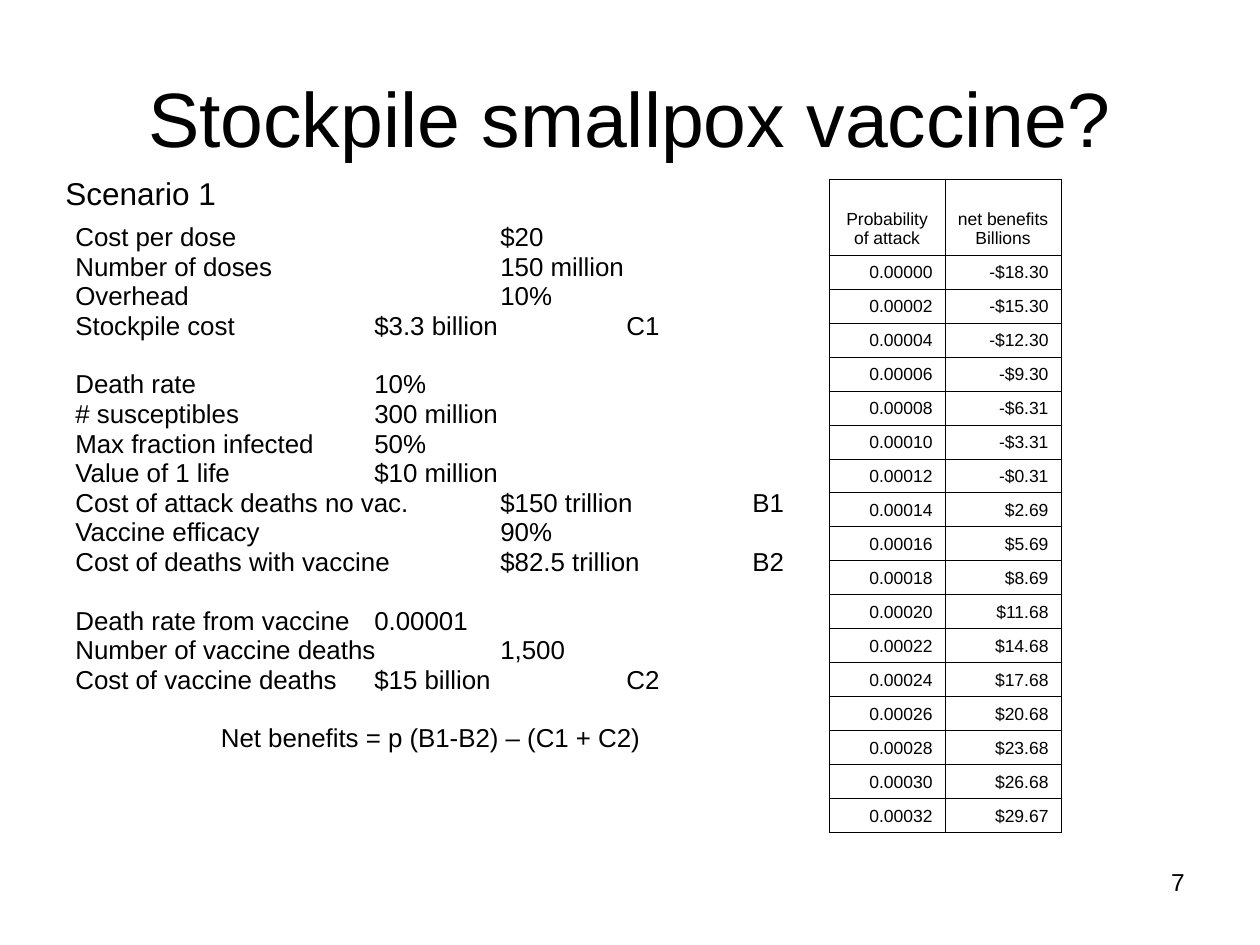
from lxml.etree import SubElement
from pptx import Presentation
from pptx.dml.color import RGBColor
from pptx.enum.text import MSO_ANCHOR as Anchor, PP_ALIGN as Align
from pptx.oxml.ns import qn
from pptx.util import Pt

PX = 914400 / 126
FONT = "Arial"
COLORS = {"text": "000000", "border": "000000"}

NEAR, FAR = 299, 425  # tab stops of the two value columns
CODE_OFFSET = 252  # from a value to its symbol in the formula
ASSUMPTION_GROUPS = [
    [
        ("Cost per dose", FAR, "$20"),
        ("Number of doses", FAR, "150 million"),
        ("Overhead", FAR, "10%"),
        ("Stockpile cost", NEAR, "$3.3 billion", "C1"),
    ],
    [
        ("Death rate", NEAR, "10%"),
        ("# susceptibles", NEAR, "300 million"),
        ("Max fraction infected", NEAR, "50%"),
        ("Value of 1 life", NEAR, "$10 million"),
        ("Cost of attack deaths no vac.", FAR, "$150 trillion", "B1"),
        ("Vaccine efficacy", FAR, "90%"),
        ("Cost of deaths with vaccine", FAR, "$82.5 trillion", "B2"),
    ],
    [
        ("Death rate from vaccine", NEAR, "0.00001"),
        ("Number of vaccine deaths", FAR, "1,500"),
        ("Cost of vaccine deaths", NEAR, "$15 billion", "C2"),
    ],
]
FORMULA = "Net benefits = p (B1-B2) – (C1 + C2)"
LINE_SPACING = 0.73
LINE_GAP, GROUP_GAP = 4, 20.4

TABLE_HEADER = ("Probability of attack", "net benefits Billions")
PROBABILITY_STEP = 0.00002
NET_BENEFITS = [
    "-$18.30", "-$15.30", "-$12.30", "-$9.30", "-$6.31", "-$3.31",
    "-$0.31", "$2.69", "$5.69", "$8.69", "$11.68", "$14.68",
    "$17.68", "$20.68", "$23.68", "$26.68", "$29.67",
]
COLUMN_WIDTH, HEADER_HEIGHT, ROW_HEIGHT = 116, 76, 34


def emu(px):
    return round(px * PX)


def add_run(paragraph, text, size):
    run = paragraph.add_run()
    run.text = text
    run.font.name = FONT
    run.font.size = Pt(size)
    run.font.color.rgb = RGBColor.from_string(COLORS["text"])


def add_frame(slide, left, top, width, height, anchor=Anchor.TOP):
    """Add an empty wrapping text box and return its text frame."""
    box = slide.shapes.add_textbox(emu(left), emu(top), emu(width), emu(height))
    frame = box.text_frame
    frame.word_wrap = True
    frame.vertical_anchor = anchor
    return frame


def add_label(slide, text, size, bounds, align=Align.LEFT, anchor=Anchor.TOP):
    paragraph = add_frame(slide, *bounds, anchor).paragraphs[0]
    paragraph.alignment = align
    add_run(paragraph, text, size)


def set_tabs(paragraph, positions):
    tab_list = SubElement(paragraph._p.get_or_add_pPr(), qn("a:tabLst"))
    for position in positions:
        SubElement(tab_list, qn("a:tab"), pos=str(emu(position)), algn="l")


def add_assumptions(slide):
    frame = add_frame(slide, 63, 222, 735, 624)

    def add_line(text, gap, tabs=(), align=Align.LEFT):
        first = not frame.paragraphs[0].runs
        paragraph = frame.paragraphs[0] if first else frame.add_paragraph()
        if tabs:
            set_tabs(paragraph, tabs)
        paragraph.alignment = align
        paragraph.line_spacing = LINE_SPACING
        paragraph.space_before = Pt(0 if first else gap)
        add_run(paragraph, text, 14.8)

    for group in ASSUMPTION_GROUPS:
        gap = GROUP_GAP
        for label, stop, *values in group:
            add_line("\t".join([label, *values]), gap, (stop, stop + CODE_OFFSET))
            gap = LINE_GAP
    add_line(FORMULA, GROUP_GAP, align=Align.CENTER)


def set_borders(cell):
    properties = cell._tc.get_or_add_tcPr()
    for index, side in enumerate(("a:lnL", "a:lnR", "a:lnT", "a:lnB")):
        line = properties.makeelement(qn(side), {"w": str(Pt(0.45))})
        fill = SubElement(line, qn("a:solidFill"))
        SubElement(fill, qn("a:srgbClr"), val=COLORS["border"])
        properties.insert(index, line)


def add_benefit_table(slide, left, top):
    rows = [TABLE_HEADER]
    for index, benefit in enumerate(NET_BENEFITS):
        rows.append((f"{index * PROBABILITY_STEP:.5f}", benefit))
    heights = [HEADER_HEIGHT] + [ROW_HEIGHT] * len(NET_BENEFITS)
    table = slide.shapes.add_table(
        len(rows), len(TABLE_HEADER), emu(left), emu(top),
        emu(COLUMN_WIDTH * len(TABLE_HEADER)), emu(sum(heights)),
    ).table
    table.first_row = False
    table.horz_banding = False
    for column in table.columns:
        column.width = emu(COLUMN_WIDTH)
    for row_index, (values, height) in enumerate(zip(rows, heights)):
        table.rows[row_index].height = emu(height)
        for column_index, text in enumerate(values):
            cell = table.cell(row_index, column_index)
            cell.fill.background()
            cell.vertical_anchor = Anchor.BOTTOM
            set_borders(cell)
            paragraph = cell.text_frame.paragraphs[0]
            paragraph.alignment = Align.RIGHT if row_index else Align.CENTER
            add_run(paragraph, text, 10)


def main():
    presentation = Presentation()
    presentation.slide_width = emu(1260)
    presentation.slide_height = emu(945)
    slide = presentation.slides.add_slide(presentation.slide_layouts[6])
    add_label(slide, "Stockpile smallpox vaccine?", 44, (63, 38, 1134, 158),
              Align.CENTER, Anchor.MIDDLE)
    add_assumptions(slide)
    add_benefit_table(slide, 829, 179)
    add_label(slide, "Scenario 1", 18, (53, 168, 231, 50))
    add_label(slide, "7", 14, (903, 861, 294, 66), Align.RIGHT)
    presentation.save("out.pptx")


if __name__ == "__main__":
    main()
